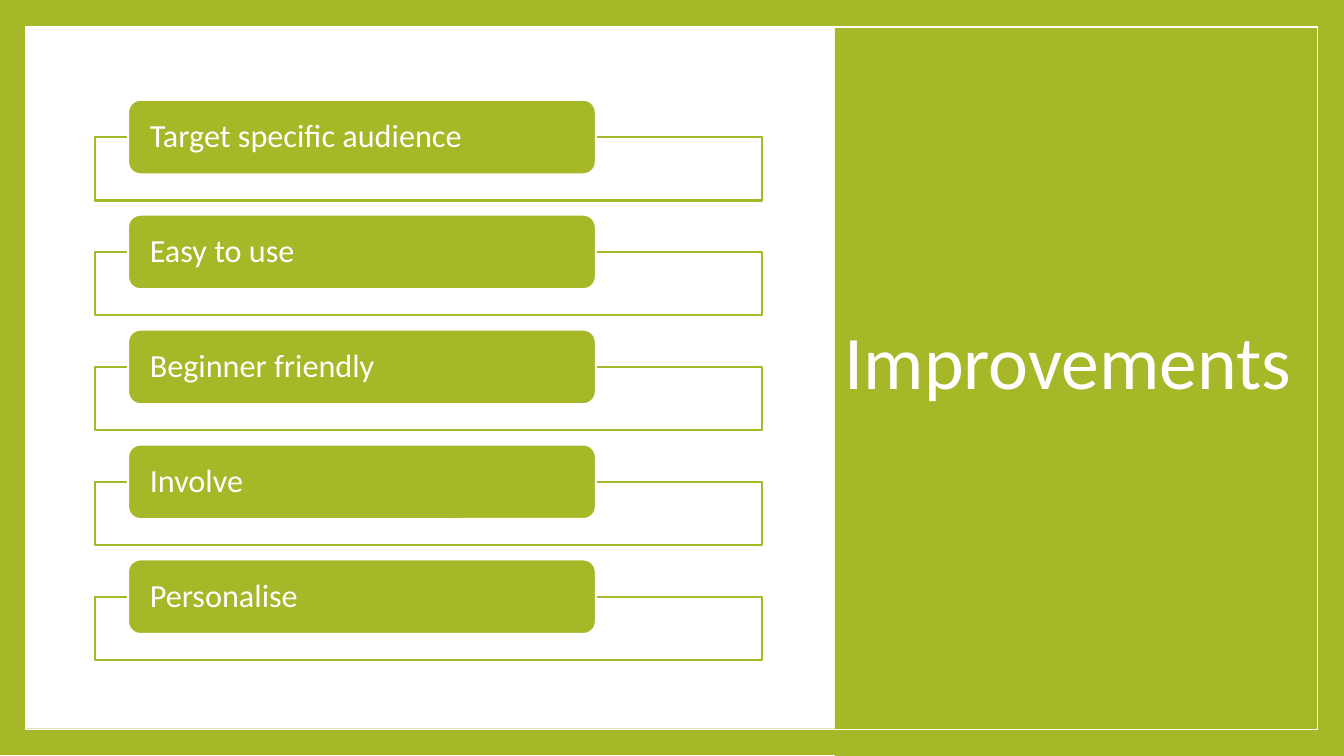
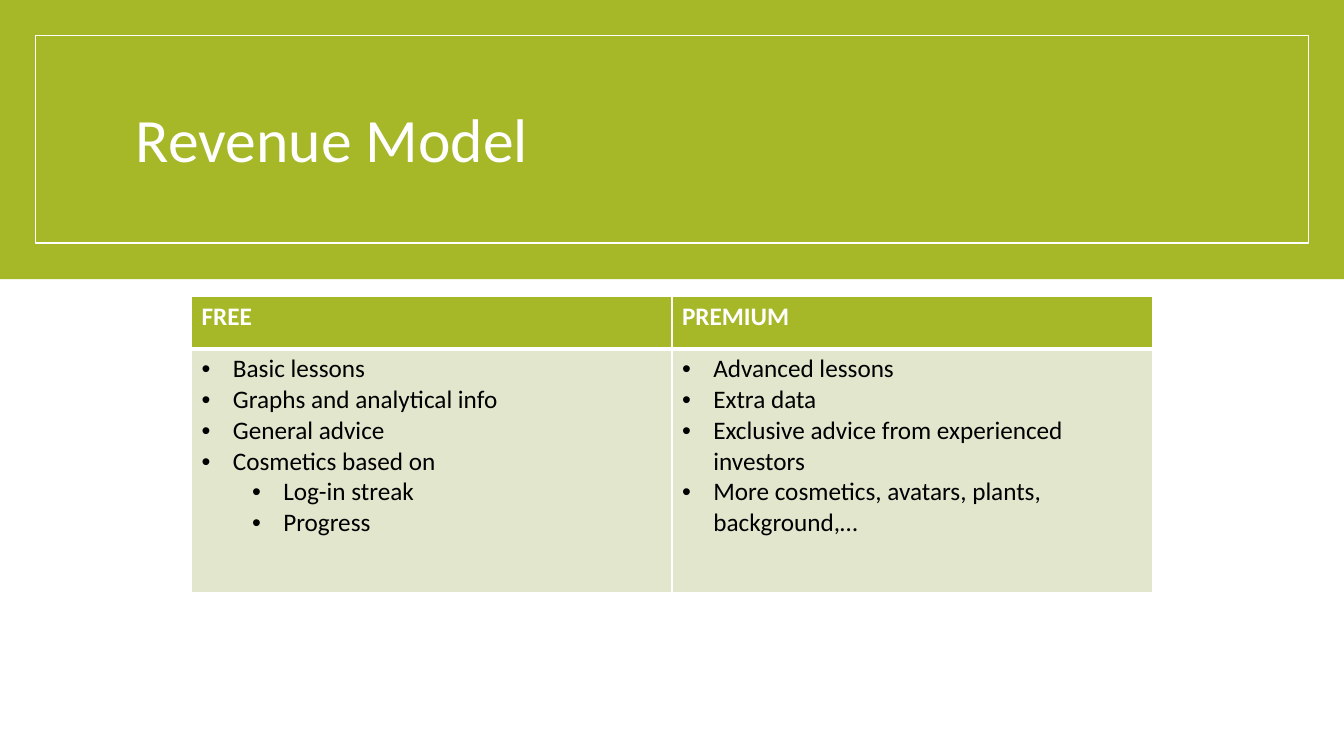
from dataclasses import dataclass
from lxml.etree import SubElement as Sub
from pptx import Presentation as Deck
from pptx.dml.color import RGBColor as Rgb
from pptx.enum.shapes import MSO_SHAPE as Kind
from pptx.enum.text import MSO_ANCHOR as Anchor, PP_ALIGN as Align
from pptx.oxml.ns import qn
from pptx.util import Emu, Pt

SCALE = 9144
WIDE, HIGH = 1333, 750


@dataclass(frozen=True)
class Theme:
    """Hold the colours and type sizes of the deck."""
    green: Rgb = Rgb.from_string("A6B727")
    pale: Rgb = Rgb.from_string("E1E6CD")
    white: Rgb = Rgb.from_string("FFFFFF")
    black: Rgb = Rgb.from_string("000000")
    font: str = "Calibri"
    large: int = 54
    title: int = 44
    label: int = 23
    body: int = 18


LOOK = Theme()


def px(size):
    """Turn px into EMU."""
    return Emu(size * SCALE)


def span(*sizes):
    """Turn several px lengths into EMU."""
    return [px(size) for size in sizes]


def block(slide, box, fill=None, line=None, width=1, kind=Kind.RECTANGLE):
    """Draw a flat shape in a box."""
    shape = slide.shapes.add_shape(kind, *span(*box))
    shape.shadow.inherit = False
    if fill is None:
        shape.fill.background()
    else:
        shape.fill.solid()
        shape.fill.fore_color.rgb = fill
    if line is None:
        shape.line.fill.background()
    else:
        shape.line.color.rgb = line
        shape.line.width = Pt(width)
    return shape


def write(para, text, size, color, bold=False):
    """Add one run of text to a paragraph."""
    run = para.add_run()
    run.text = text
    font = run.font
    font.name, font.size, font.bold = LOOK.font, Pt(size), bold
    font.color.rgb = color


def phrase(shape, text, size):
    """Set one left, middle line of white text in a shape."""
    frame = shape.text_frame
    frame.word_wrap = True
    frame.vertical_anchor = Anchor.MIDDLE
    para = frame.paragraphs[0]
    para.alignment = Align.LEFT
    para.line_spacing = 0.9
    write(para, text, size, LOOK.white)
    return frame


def head(slide, box, text, size):
    """Place a slide title."""
    phrase(slide.shapes.add_textbox(*span(*box)), text, size)


def card(slide, box, text):
    """Draw an outlined bar with a label pill on its top edge."""
    left, top, wide, high = box
    block(slide, (left, top + 37, wide, high - 37),
          LOOK.white, LOOK.green, 1.5)
    pill = block(slide, (left + 33, top, 464, 74), LOOK.green, LOOK.white,
                 1.5, Kind.ROUNDED_RECTANGLE)
    frame = phrase(pill, text, LOOK.label)
    frame.margin_left = frame.margin_right = px(18)
    frame.margin_top = frame.margin_bottom = 0


def stack(slide, box, items):
    """Stack cards with equal gaps."""
    left, top, wide, step = box
    for row, text in enumerate(items):
        card(slide, (left, top + row * step, wide, step - 14), text)


def point(para, text, level):
    """Write one bullet item."""
    para.level = level
    props = para._p.get_or_add_pPr()
    props.set("marL", str(px(31 + 50 * level)))
    props.set("indent", str(px(-31)))
    Sub(props, qn("a:buFont"), typeface="Arial")
    Sub(props, qn("a:buChar"), char="•")
    write(para, text, LOOK.body, LOOK.black)


def edge(cell, base):
    """Rule a cell in white, with its own base width."""
    props = cell._tc.get_or_add_tcPr()
    sides = (("L", 1), ("R", 1), ("T", 1), ("B", base))
    for place, (side, width) in enumerate(sides):
        line = Sub(props, qn("a:ln" + side), w=str(Pt(width)))
        fill = Sub(line, qn("a:solidFill"))
        Sub(fill, qn("a:srgbClr"), val=str(LOOK.white))
        props.insert(place, line)


def paint(cell, color, base):
    """Fill and rule a cell."""
    cell.fill.solid()
    cell.fill.fore_color.rgb = color
    edge(cell, base)


def grid(slide, box, plans):
    """Build the table of plans, one column each."""
    left, top, wide, high = box
    table = slide.shapes.add_table(2, len(plans), *span(*box)).table
    table.rows[0].height, table.rows[1].height = span(52, high - 52)
    for col, (name, items) in enumerate(plans):
        table.columns[col].width = px(wide) // len(plans)
        top, body = table.cell(0, col), table.cell(1, col)
        paint(top, LOOK.green, 3)
        paint(body, LOOK.pale, 1)
        write(top.text_frame.paragraphs[0], name, LOOK.body, LOOK.white, True)
        frame = body.text_frame
        for row, (text, level) in enumerate(items):
            para = frame.add_paragraph() if row else frame.paragraphs[0]
            point(para, text, level)


def panel(slide, title, items):
    """Build a slide with cards and a title panel at the right."""
    block(slide, (0, -1, WIDE, HIGH), LOOK.green)
    block(slide, (25, 26, 1282, 697), LOOK.white)
    block(slide, (828, 0, WIDE - 828, HIGH), LOOK.green)
    head(slide, (828, 67, WIDE - 828, 591), title, LOOK.large)
    block(slide, (25, 27, 1282, 697), line=LOOK.white)
    stack(slide, (94, 99, 662, 114), items)


def banner(slide, title, plans):
    """Build a slide with a title band over a table."""
    block(slide, (0, 0, WIDE, 277), LOOK.green)
    block(slide, (35, 35, 1263, 206), line=LOOK.white)
    head(slide, (125, 67, 1080, 148), title, LOOK.title)
    grid(slide, (190, 294, 953, 294), plans)


def main():
    """Build and save the deck."""
    deck = Deck()
    deck.slide_width, deck.slide_height = span(WIDE, HIGH)
    blank = deck.slide_layouts[6]
    panel(deck.slides.add_slide(blank), "Improvements", (
        "Target specific audience", "Easy to use", "Beginner friendly",
        "Involve", "Personalise"))
    banner(deck.slides.add_slide(blank), "Revenue Model", (
        ("FREE", (
            ("Basic lessons", 0),
            ("Graphs and analytical info", 0),
            ("General advice", 0),
            ("Cosmetics based on", 0),
            ("Log-in streak", 1),
            ("Progress", 1))),
        ("PREMIUM", (
            ("Advanced lessons", 0),
            ("Extra data", 0),
            ("Exclusive advice from experienced investors", 0),
            ("More cosmetics, avatars, plants, background,…", 0)))))
    deck.save("out.pptx")


if __name__ == "__main__":
    main()
